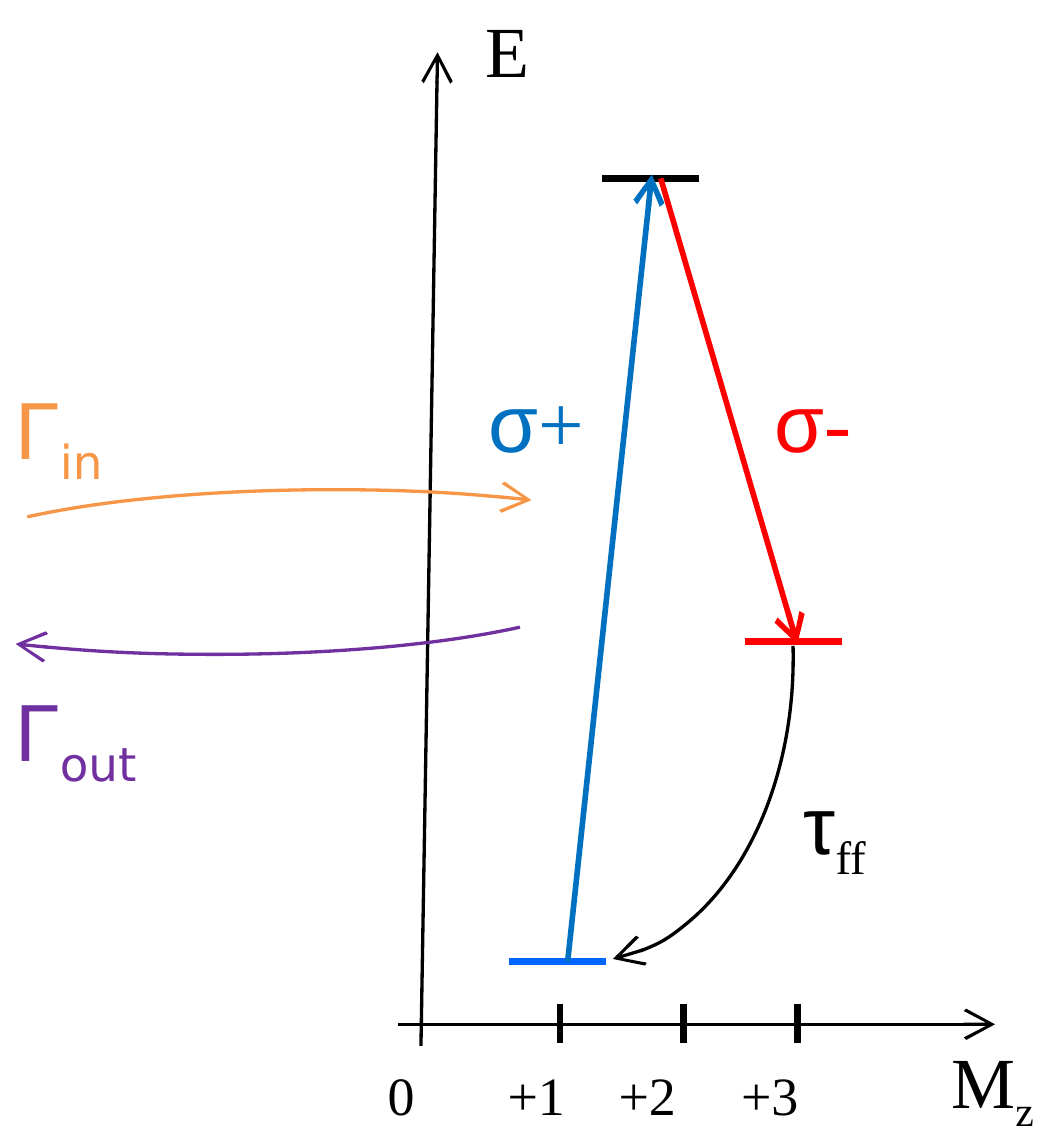
from lxml.etree import SubElement
from pptx import Presentation
from pptx.dml.color import RGBColor
from pptx.enum.shapes import MSO_CONNECTOR, MSO_SHAPE
from pptx.enum.text import MSO_AUTO_SIZE
from pptx.oxml.ns import qn
from pptx.util import Cm, Pt

SERIF, SANS, SUBSCRIPT_SANS = "Times New Roman", "Arial", "DejaVu Sans"
BLACK, RED, BLUE = "000000", "FF0000", "0070C0"
LEVEL_BLUE, ORANGE, PURPLE = "0066FF", "F79646", "7030A0"


def rgb(color):
    return RGBColor.from_string(color)


def style_line(sp, color, width, arrow):
    sp.line.color.rgb = rgb(color)
    sp.line.width = Pt(width)
    if arrow:
        ln = sp._element.spPr.find(qn("a:ln"))
        SubElement(ln, qn("a:tailEnd"), type="arrow")


def add_line(s, x1, y1, x2, y2, color=BLACK, width=0.75, arrow=False):
    line = s.shapes.add_connector(
        MSO_CONNECTOR.STRAIGHT, Cm(x1), Cm(y1), Cm(x2), Cm(y2))
    style_line(line, color, width, arrow)
    SubElement(line._element.spPr, qn("a:effectLst"))


def add_arc(s, x, y, w, h, start, end, color, rotation=0):
    sp = s.shapes.add_shape(MSO_SHAPE.ARC, Cm(x), Cm(y), Cm(w), Cm(h))
    sp.shadow.inherit = False
    sp.fill.background()
    for i, degrees in enumerate((start, end)):
        sp.adjustments[i] = degrees * 0.6
    sp.rotation = rotation
    style_line(sp, color, 0.75, True)


def add_label(s, x, y, w, size, color, text, font,
              suffix="", suffix_font=SERIF, subscript=True):
    h = 1.02 if size == 18 else 0.94
    tf = s.shapes.add_textbox(Cm(x), Cm(y), Cm(w), Cm(h)).text_frame
    tf.word_wrap = False
    tf.auto_size = MSO_AUTO_SIZE.SHAPE_TO_FIT_TEXT
    p = tf.paragraphs[0]
    p.font.size = Pt(size)
    p.font.color.rgb = rgb(color)
    p.font.name = font
    p.add_run().text = text
    if suffix:
        r = p.add_run()
        r.text = suffix
        if suffix_font != font:
            r.font.name = suffix_font
        if subscript:
            r._r.get_or_add_rPr().set("baseline", "-25000")


def draw_axes(s, x, y, w, h):
    axis_y = y + h - 0.17
    add_line(s, x + 0.18, y + h, x + 0.31, y, arrow=True)
    add_line(s, x, axis_y, x + w, axis_y, arrow=True)
    for dx in (1.27, 2.24, 3.13):
        add_line(s, x + dx, axis_y - 0.16, x + dx, axis_y + 0.15, width=1.5)
    for text, dx, width in (("0", -0.33, 1.02), ("+1", 0.61, 1.37),
                            ("+2", 1.48, 1.37), ("+3", 2.44, 1.37)):
        add_label(s, x + dx, y + h, width, 12, BLACK, text, SERIF)
    add_label(s, x + 0.44, y - 0.49, 1.04, 16, BLACK, "E", SERIF)
    add_label(s, x + w - 0.59, axis_y - 0.03, 1.45, 16, BLACK, "M", SERIF, "z")


def draw_levels(s, x, y, w, h):
    level_w = 0.76
    for dx, dy, color in ((0.73, 0, BLACK), (0, h, LEVEL_BLUE),
                          (w - level_w, 3.63, RED)):
        add_line(s, x + dx, y + dy, x + dx + level_w, y + dy, color, 1.5)
    add_line(s, x + 0.46, y + h, x + 1.12, y - 0.03, BLUE, 1.25, True)
    add_line(s, x + 1.19, y, x + 2.26, y + 3.65, RED, 1.25, True)
    add_arc(s, x - 1.02, y + 1.39, 3.25, 4.75, 356.45, 84.86, BLACK)
    for sign, dx, color in (("+", -0.41, BLUE), ("-", 1.83, RED)):
        add_label(s, x + dx, y + 1.39, 1.35, 18, color, "σ", SANS, sign,
                  subscript=False)
    add_label(s, x + 2.06, y + 4.54, 1.07, 18, BLACK, "τ", SANS, "ff")


def draw_rate(s, x, y, w, h, name, label_y, label_w, color, rotation):
    add_arc(s, x, y, w, h, 190.6, 339.77, color, rotation)
    add_label(s, -0.13, y + label_y, label_w, 18, color, "Γ", SANS,
              name, SUBSCRIPT_SANS)


prs = Presentation()
prs.slide_width, prs.slide_height = Cm(8.2), Cm(9)
s = prs.slides.add_slide(prs.slide_layouts[6])
draw_axes(s, 3.12, 0.41, 4.68, 7.79)
draw_levels(s, 3.99, 1.4, 2.61, 6.14)
draw_rate(s, -0.64, 3.84, 6.48, 1.32, "in", -1, 1.57, ORANGE, 0)
draw_rate(s, -1.55, 3.81, 6.48, 1.32, "out", 1.4, 1.96, PURPLE, 180)
prs.save("out.pptx")
